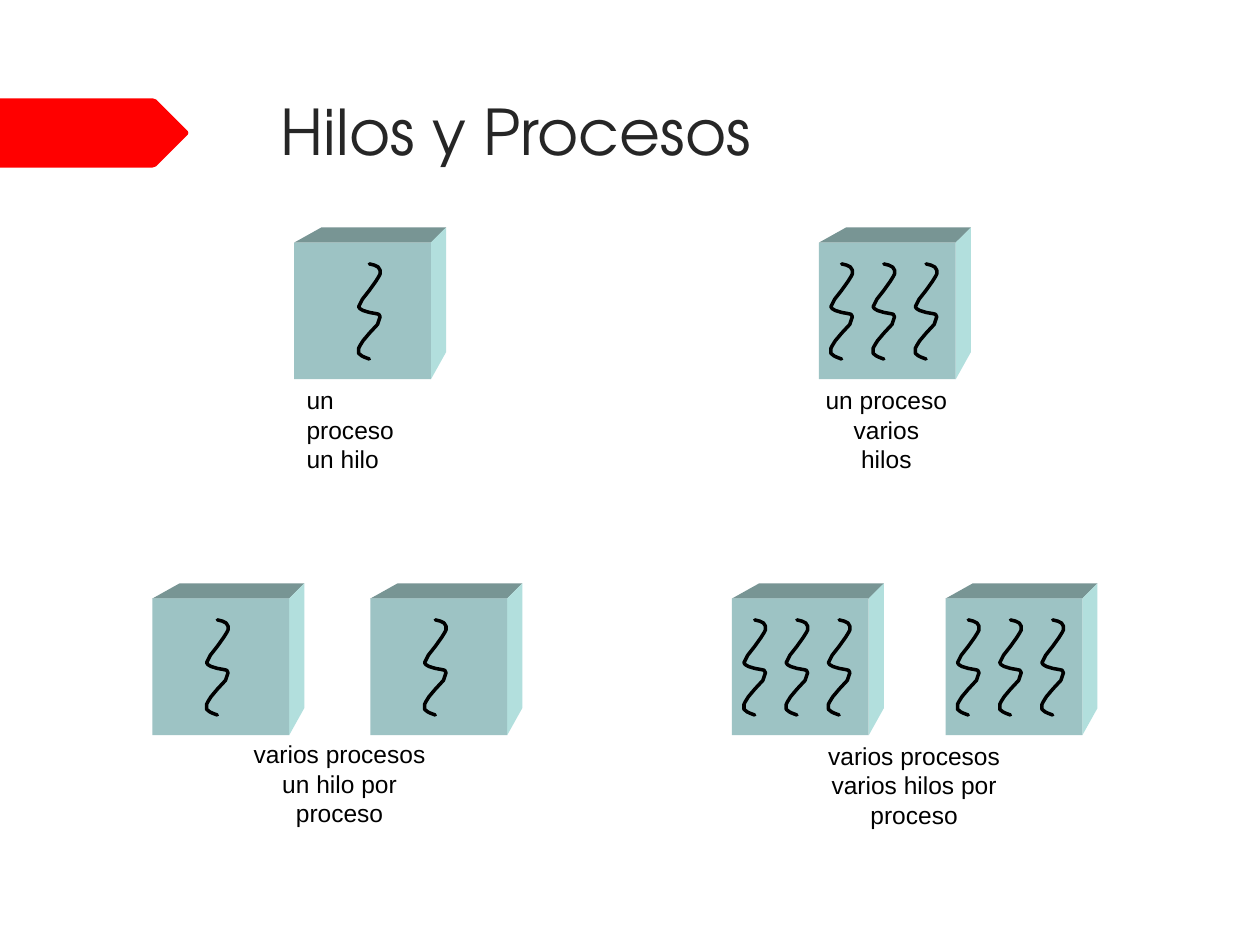
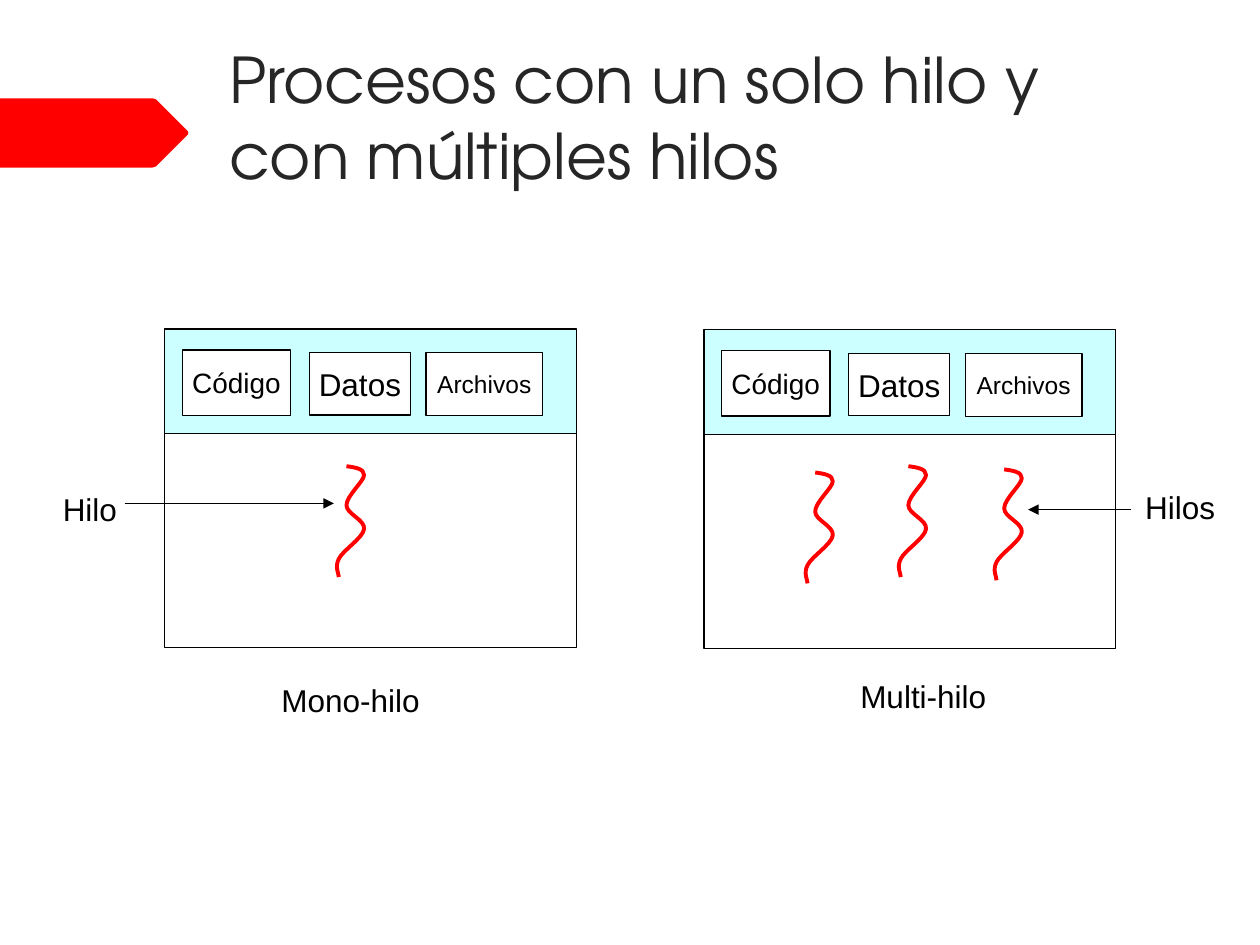
from lxml.etree import SubElement
from pptx import Presentation
from pptx.dml.color import RGBColor
from pptx.enum.shapes import MSO_CONNECTOR, MSO_SHAPE
from pptx.enum.text import MSO_ANCHOR, PP_ALIGN
from pptx.oxml.ns import qn
from pptx.util import Inches, Pt

COLORS = {
    "band": "FF0000", "title": "262626", "ink": "000000", "paper": "FFFFFF",
    "front": "9DC3C4", "top": "789594", "side": "B2DFDD",
    "header": "CCFFFF", "thread": "FF0000",
}
TITLE_FONT, BODY_FONT = "TeX Gyre Adventor", "Arial"

prs = Presentation()
prs.slide_width, prs.slide_height = Inches(10), Inches(7.5)
CELL = prs.slide_width / 100  # square cell of a grid of 100 columns by 75 rows


def add_box(s, at, lines=(), size=18, fill=None, line=None, font=BODY_FONT,
            color="ink", align=PP_ALIGN.LEFT, wrap=False):
    """Add a text box, or a rectangle when a fill or a line is given."""
    at = [round(v * CELL) for v in at]
    if fill or line:
        sp = s.shapes.add_shape(MSO_SHAPE.RECTANGLE, *at)
        sp.shadow.inherit = False
        sp.fill.background()
        sp.line.fill.background()
        if fill:
            sp.fill.solid()
            sp.fill.fore_color.rgb = RGBColor.from_string(COLORS[fill])
        if line:
            sp.line.color.rgb = RGBColor.from_string(COLORS[line])
            sp.line.width = Pt(0.75)
        sp.text_frame.vertical_anchor = MSO_ANCHOR.MIDDLE
    else:
        sp = s.shapes.add_textbox(*at)
    tf = sp.text_frame
    tf.word_wrap = wrap
    for i, text in enumerate(lines):
        p = tf.add_paragraph() if i else tf.paragraphs[0]
        p.alignment = align
        r = p.add_run()
        r.text = text
        r.font.name, r.font.size = font, Pt(size)
        r.font.color.rgb = RGBColor.from_string(COLORS[color])


def add_outline(s, points, fill=None, line=None, width=2):
    """Add a filled polygon, or an open stroke when only a line is given."""
    points = [(round(x * CELL), round(y * CELL)) for x, y in points]
    fb = s.shapes.build_freeform(*points[0])
    fb.add_line_segments(points[1:], close=bool(fill))
    sp = fb.convert_to_shape()
    sp.shadow.inherit = False
    if fill:
        sp.fill.solid()
        sp.fill.fore_color.rgb = RGBColor.from_string(COLORS[fill])
        sp.line.fill.background()
    else:
        sp.fill.background()
        sp.line.color.rgb = RGBColor.from_string(COLORS[line])
        sp.line.width = Pt(width)
    return sp


# Shared band and titles
BAND = [(0, 7.8), (12.1, 7.8), (12.4, 7.9), (14.9, 10.4), (14.95, 10.55),
        (14.9, 10.7), (12.4, 13.2), (12.1, 13.3), (0, 13.3)]
slides = []
for title, at in (
    ("Hilos y Procesos", (21.3, 6.85, 72.1, 14)),
    ("Procesos con un solo hilo y con múltiples hilos", (17.2, 2.72, 74.9, 14)),
):
    s = prs.slides.add_slide(prs.slide_layouts[6])
    add_outline(s, BAND, fill="band")
    add_box(s, at, [title], 36, font=TITLE_FONT, color="title", wrap=True)
    slides.append(s)

# Slide 1: processes as cubes holding threads
s = slides[0]
CUBE, DEPTH = 10.85, 1.2
SQUIGGLE = [  # from the top centre of the thread
    (0, 0), (0.4, 0.1), (0.7, 0.25), (0.85, 0.5), (0.85, 0.8), (0.75, 1),
    (0.5, 1.4), (0, 2.1), (-0.55, 2.8), (-0.7, 3.1), (-0.85, 3.4),
    (-0.75, 3.55), (-0.5, 3.7), (0, 3.85), (0.55, 3.95), (0.75, 4),
    (0.85, 4.2), (0.75, 4.5), (0.65, 4.8), (0, 5.5), (-0.5, 6.1),
    (-0.75, 6.5), (-0.85, 6.7), (-0.85, 7.1), (-0.6, 7.3), (-0.4, 7.4),
    (0, 7.55)]
THREE = (1.8, 5.15, 8.5)
# cube lefts, cube top, thread offsets, caption place, caption, alignment
groups = [
    ((23.35,), 19.25, (5.97,), (23.35, 30.1, 11.6, 5.7),
     ("un proceso", "un hilo"), PP_ALIGN.LEFT),
    ((12.1, 29.4), 47.5, (5.15,), (17.7, 58.2, 18.5, 5.7),
     ("varios procesos", "un hilo por proceso"), PP_ALIGN.CENTER),
    ((58.1, 75.05), 47.5, THREE, (61.3, 58.3, 22.5, 5.7),
     ("varios procesos", "varios hilos por proceso"), PP_ALIGN.CENTER),
    ((65,), 19.25, THREE, (64.5, 30.1, 11.7, 5.7),
     ("un proceso", "varios hilos"), PP_ALIGN.CENTER),
]
for lefts, top, offsets, caption_at, caption, align in groups:
    for left in lefts:
        right, bottom = left + CUBE, top + CUBE
        back_right, back_top = right + DEPTH, top - DEPTH
        add_outline(s, [(left, top), (left + 2.15, back_top),
                        (back_right, back_top), (right, top)], fill="top")
        add_outline(s, [(right, top), (back_right, back_top),
                        (back_right, bottom - 2.15), (right, bottom)], fill="side")
        add_box(s, (left, top, CUBE, CUBE), fill="front")
        for offset in offsets:
            thread = add_outline(
                s, [(left + offset + x, top + 1.7 + y) for x, y in SQUIGGLE], line="ink")
            thread.line._ln.set("cap", "rnd")
    add_box(s, caption_at, caption, 14, align=align, wrap=True)

# Slide 2: the two process panels
s = slides[1]
for left, top in ((13.07, 26.12), (55.87, 26.17)):
    add_box(s, (left, top + 0.2, 32.67, 25.1), line="ink")
    add_box(s, (left, top, 32.67, 8.3), fill="header", line="ink")
    for label, size, dx, dy, w, h in (
        ("Código", 16, 1.4, 1.65, 8.6, 5.2),
        ("Datos", 18, 11.5, 1.87, 8, 4.95),
        ("Archivos", 14, 20.75, 1.87, 9.25, 5),
    ):
        add_box(s, (left + dx, top + dy, w, h), [label], size,
                fill="paper", line="ink", align=PP_ALIGN.CENTER)

# Threads: a start point, then three points for each Bézier curve
WAVE = [(0, 0),
        (0.7, 0.1), (1.4, 0.2), (1.4, 0.7),
        (1.4, 1.2), (0, 2.35), (0, 3.1),
        (0, 3.8), (1.5, 4.25), (1.4, 5),
        (1.3, 5.7), (-0.3, 6.7), (-0.6, 7.35),
        (-0.95, 8), (-0.6, 8.55), (-0.6, 8.8)]
for left, top in ((27.5, 37), (64.7, 37.5), (72.1, 37), (79.7, 37.25)):
    thread = add_outline(s, [(left + x, top + y) for x, y in WAVE],
                         line="thread", width=2.25)
    outline = next(thread._element.iter(qn("a:path")))
    steps = outline.findall(qn("a:lnTo"))
    for i in range(0, len(steps), 3):
        curve = SubElement(outline, qn("a:cubicBezTo"))
        for step in steps[i:i + 3]:
            curve.append(step[0])
            outline.remove(step)

# Labels and arrows
for text, at in (
    ("Hilo", (4, 38.4, 6.4, 4)), ("Hilos", (89.9, 38.25, 7.7, 4)),
    ("Mono-hilo", (21.35, 53.55, 13, 4)), ("Multi-hilo", (67.3, 53.25, 12, 4)),
):
    add_box(s, at, [text])
for x1, x2, y in ((9.9, 26.5, 39.95), (89.8, 81.6, 40.45)):
    ends = [round(v * CELL) for v in (x1, y, x2, y)]
    arrow = s.shapes.add_connector(MSO_CONNECTOR.STRAIGHT, *ends)
    arrow.line.color.rgb = RGBColor.from_string(COLORS["ink"])
    arrow.line.width = Pt(0.75)
    SubElement(arrow.line._ln, qn("a:tailEnd"), type="triangle")
    SubElement(arrow._element.spPr, qn("a:effectLst"))

prs.save("out.pptx")
